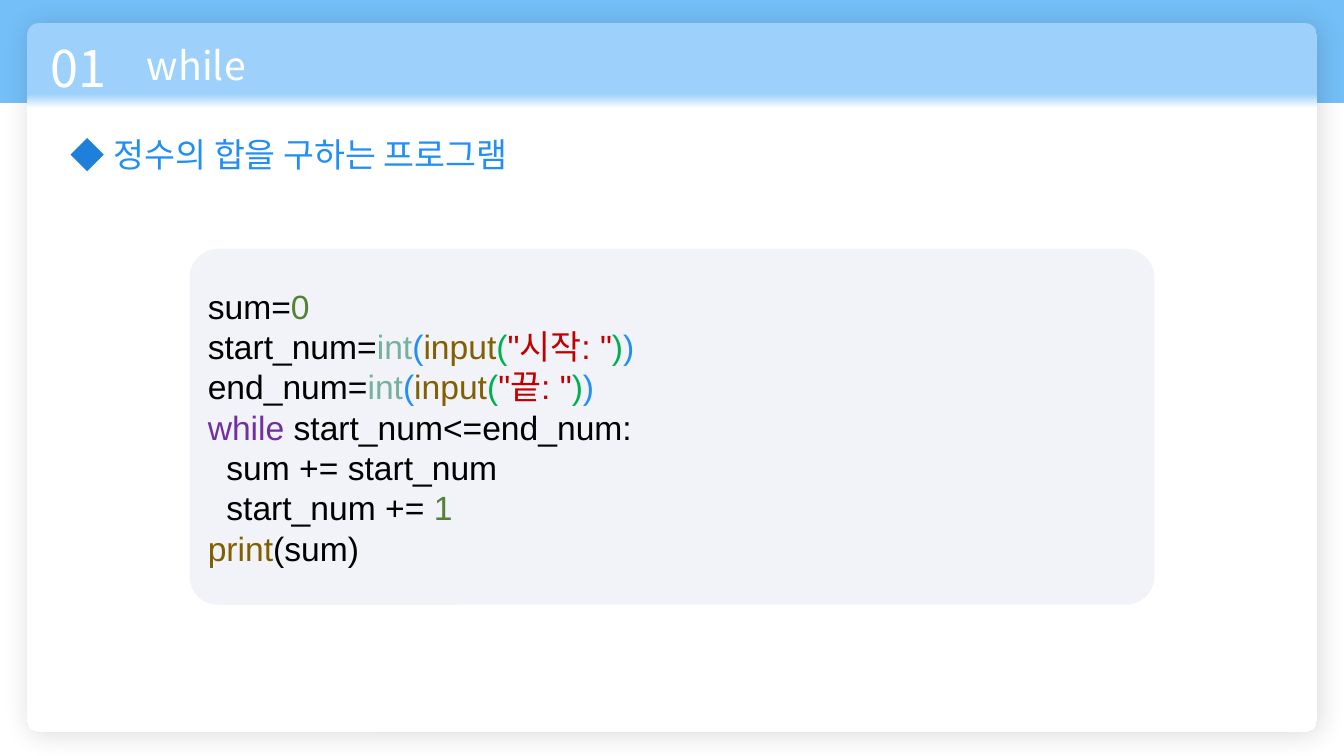
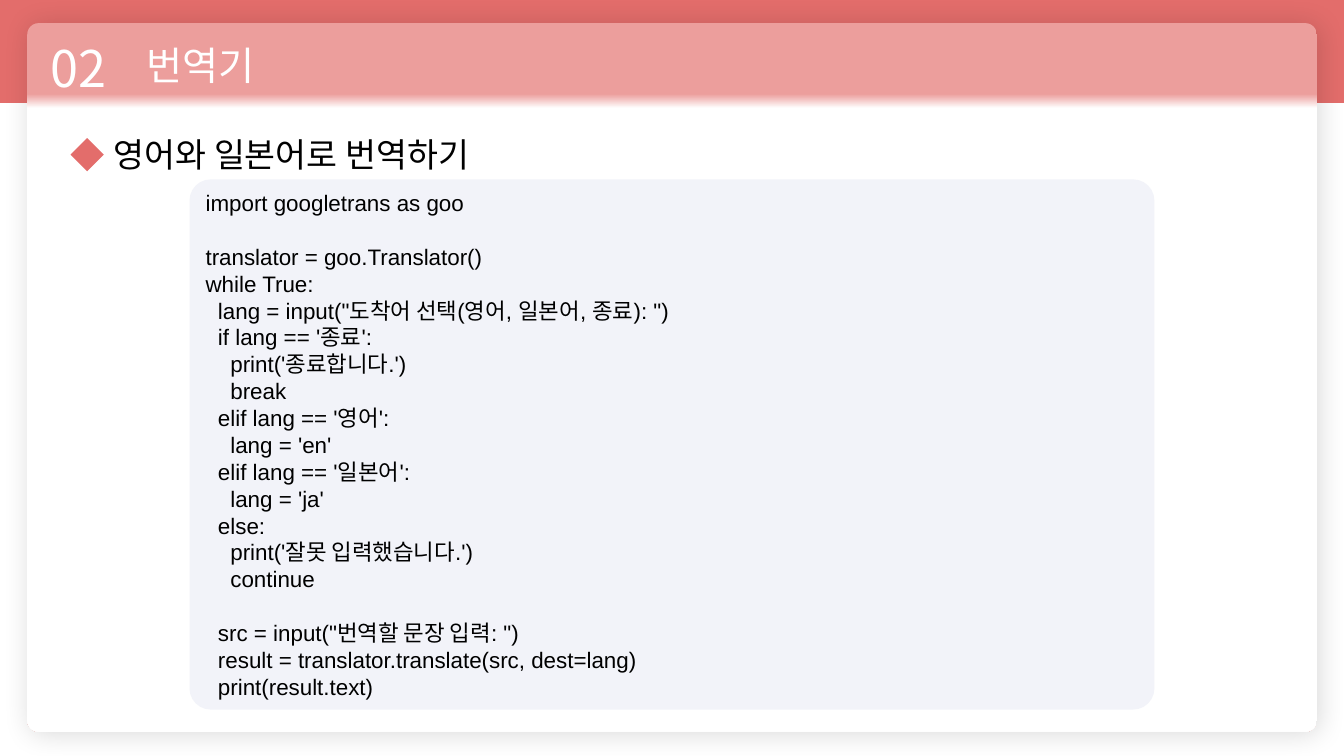
from copy import deepcopy
from dataclasses import dataclass
from typing import NamedTuple

from lxml import etree
from pptx import Presentation
from pptx.dml.color import RGBColor as Rgb
from pptx.enum.shapes import MSO_SHAPE as Preset
from pptx.enum.text import MSO_ANCHOR as Anchor, MSO_AUTO_SIZE as AutoSize, PP_ALIGN as Align
from pptx.oxml.ns import qn
from pptx.util import Emu, Pt

EMU_PER_PX = 9144
BLANK_LAYOUT = 6


@dataclass(frozen=True)
class Theme:
    heading_font: str = "Noto Sans CJK KR"
    code_font: str = "Arial"
    number_size: int = 36
    title_size: int = 28
    heading_size: int = 24
    white: str = "FFFFFF"
    black: str = "000000"
    code_panel: str = "F2F3F9"
    number: str = "548235"
    type_name: str = "76B19C"
    outer_bracket: str = "228FF4"
    inner_bracket: str = "00B050"
    function: str = "806000"
    string: str = "C00000"
    keyword: str = "7030A0"


THEME = Theme()


class Box(NamedTuple):
    left: int
    top: int
    width: int
    height: int


class Span(NamedTuple):
    text: str
    color: str = THEME.black


Line = tuple[Span, ...]


@dataclass(frozen=True)
class Section:
    number: str
    title: str
    heading: str
    band_color: str
    header_color: str
    diamond_color: str
    heading_color: str
    code_box: Box
    corner: float
    code_size: int
    code: tuple[Line, ...]


SLIDE = Box(0, 0, 1333, 750)
BAND = Box(0, 0, 1333, 102)
CARD = Box(27, 23, 1279, 703)
NUMBER = Box(40, 32, 102, 71)
TITLE = Box(136, 36, 617, 57)
HEADING = Box(103, 128, 860, 50)
DIAMOND = Box(70, 137, 33, 33)


def input_line(variable: str, prompt: str) -> Line:
    return (
        Span(f"{variable}="),
        Span("int", THEME.type_name),
        Span("(", THEME.outer_bracket),
        Span("input", THEME.function),
        Span("(", THEME.inner_bracket),
        Span(f'"{prompt}: "', THEME.string),
        Span(")", THEME.inner_bracket),
        Span(")", THEME.outer_bracket),
    )


SUM_CODE: tuple[Line, ...] = (
    (Span("sum="), Span("0", THEME.number)),
    input_line("start_num", "시작"),
    input_line("end_num", "끝"),
    (Span("while", THEME.keyword), Span(" start_num<=end_num:")),
    (Span("  sum += start_num"),),
    (Span("  start_num += "), Span("1", THEME.number)),
    (Span("print", THEME.function), Span("(sum)")),
)

TRANSLATOR_CODE = """\
import googletrans as goo

translator = goo.Translator()
while True:
  lang = input("도착어 선택(영어, 일본어, 종료): ")
  if lang == '종료':
    print('종료합니다.')
    break
  elif lang == '영어':
    lang = 'en'
  elif lang == '일본어':
    lang = 'ja'
  else:
    print('잘못 입력했습니다.')
    continue

  src = input("번역할 문장 입력: ")
  result = translator.translate(src, dest=lang)
  print(result.text)"""

SECTIONS = (
    Section(
        "01", "while", "정수의 합을 구하는 프로그램",
        band_color="74BFF8", header_color="9DD1FB",
        diamond_color="1F80DB", heading_color="228FF4",
        code_box=Box(188, 247, 957, 353), corner=0.08, code_size=24,
        code=SUM_CODE,
    ),
    Section(
        "02", "번역기", "영어와 일본어로 번역하기",
        band_color="E36D6B", header_color="EC9E9C",
        diamond_color="E36D6B", heading_color=THEME.black,
        code_box=Box(188, 178, 957, 526), corner=0.04, code_size=16,
        code=tuple((Span(line),) if line else () for line in TRANSLATOR_CODE.split("\n")),
    ),
)


def emu(box: Box) -> list[Emu]:
    return [Emu(length * EMU_PER_PX) for length in box]


def add_block(slide, preset: Preset, box: Box, color: str):
    shape = slide.shapes.add_shape(preset, *emu(box))
    shape.shadow.inherit = False
    shape.fill.solid()
    shape.fill.fore_color.rgb = Rgb.from_string(color)
    shape.line.fill.background()
    return shape


def write_lines(frame, lines: tuple[Line, ...], font_name: str, size: int) -> None:
    frame.word_wrap = True
    for index, line in enumerate(lines):
        paragraph = frame.paragraphs[0] if index == 0 else frame.add_paragraph()
        paragraph.alignment = Align.LEFT
        for span in line:
            run = paragraph.add_run()
            run.text = span.text
            run.font.size = Pt(size)
            run.font.color.rgb = Rgb.from_string(span.color)
            run.font.name = font_name
            etree.SubElement(run.font._element, qn("a:ea"), typeface=THEME.heading_font)
        if not line:
            etree.SubElement(paragraph._p, qn("a:endParaRPr"), sz=str(size * 100))


def add_label(slide, box: Box, text: str, size: int, color: str) -> None:
    frame = slide.shapes.add_textbox(*emu(box)).text_frame
    write_lines(frame, ((Span(text, color),),), THEME.heading_font, size)
    frame.auto_size = AutoSize.SHAPE_TO_FIT_TEXT


def add_soft_shadow(shape) -> None:
    effects = shape._element.spPr.find(qn("a:effectLst"))
    shadow = etree.SubElement(
        effects, qn("a:outerShdw"), blurRad=str(Pt(20)), dist=str(Pt(3)),
        dir="2700000", algn="tl", rotWithShape="0",
    )
    color = etree.SubElement(shadow, qn("a:srgbClr"), val=THEME.black)
    etree.SubElement(color, qn("a:alpha"), val="14000")


def add_card(slide, header_color: str) -> None:
    """Draw the white page card, whose top fades out of the header colour."""
    card = add_block(slide, Preset.ROUNDED_RECTANGLE, CARD, THEME.white)
    card.adjustments[0] = 0.016
    card.fill.gradient()
    card.fill.gradient_angle = 270
    for stop, position, color in zip(
        card.fill.gradient_stops, (0.1, 0.12), (header_color, THEME.white)
    ):
        stop.position = position
        stop.color.rgb = Rgb.from_string(color)
    white_stop = card._element.spPr.findall(".//" + qn("a:gs"))[-1]
    end_stop = deepcopy(white_stop)
    end_stop.set("pos", "100000")
    white_stop.addnext(end_stop)
    add_soft_shadow(card)


def add_code_panel(slide, section: Section) -> None:
    panel = add_block(slide, Preset.ROUNDED_RECTANGLE, section.code_box, THEME.code_panel)
    panel.adjustments[0] = section.corner
    panel.text_frame.vertical_anchor = Anchor.MIDDLE
    write_lines(panel.text_frame, section.code, THEME.code_font, section.code_size)


def add_section_slide(presentation, section: Section) -> None:
    slide = presentation.slides.add_slide(presentation.slide_layouts[BLANK_LAYOUT])
    add_block(slide, Preset.RECTANGLE, BAND, section.band_color)
    add_card(slide, section.header_color)
    add_label(slide, NUMBER, section.number, THEME.number_size, THEME.white)
    add_label(slide, TITLE, section.title, THEME.title_size, THEME.white)
    add_label(slide, HEADING, section.heading, THEME.heading_size, section.heading_color)
    add_block(slide, Preset.DIAMOND, DIAMOND, section.diamond_color)
    add_code_panel(slide, section)


def main() -> None:
    presentation = Presentation()
    _, _, presentation.slide_width, presentation.slide_height = emu(SLIDE)
    for section in SECTIONS:
        add_section_slide(presentation, section)
    presentation.save("out.pptx")


if __name__ == "__main__":
    main()
